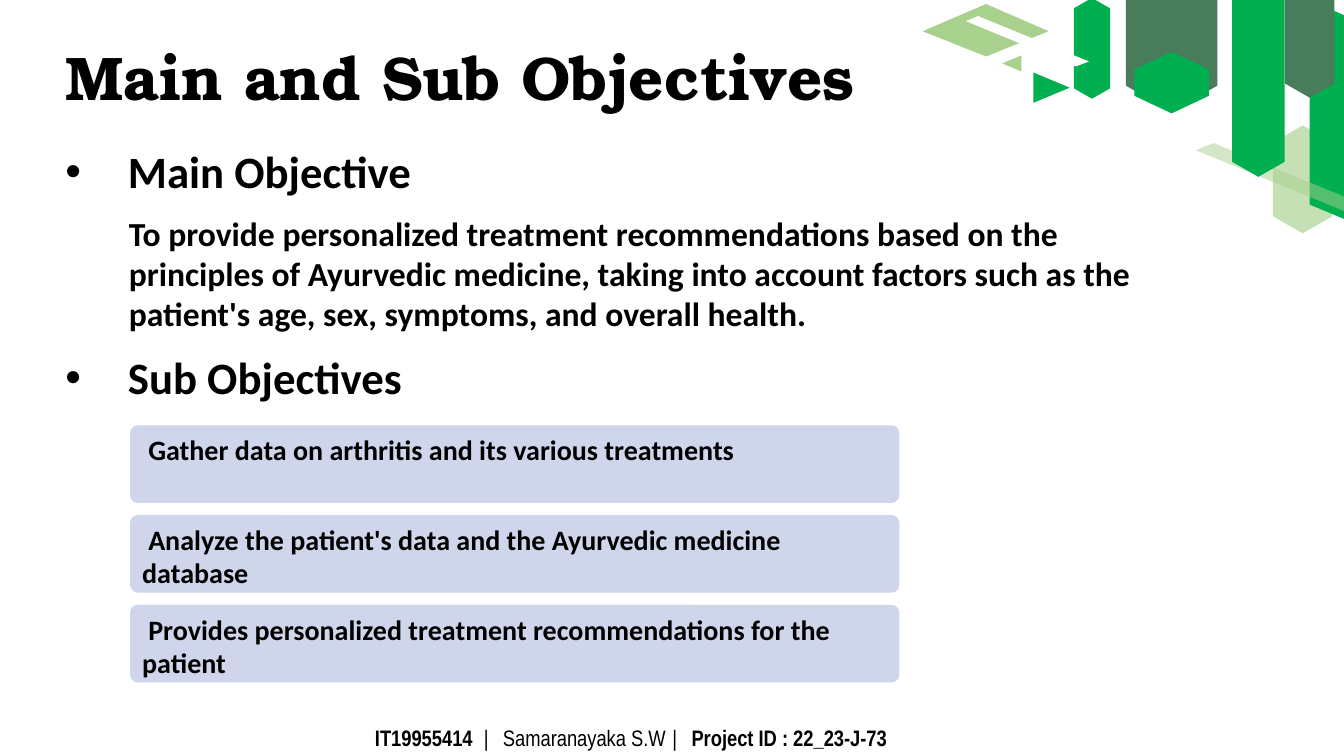
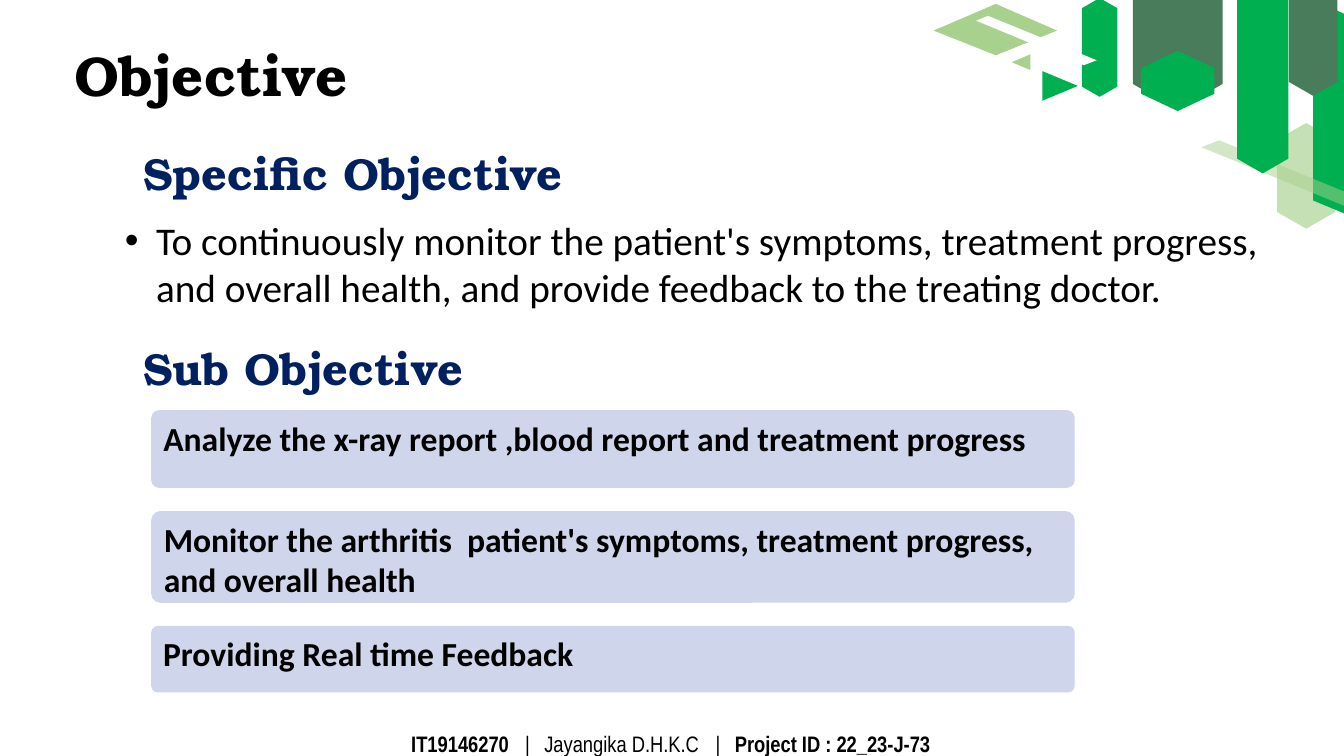
from lxml import etree
from pptx import Presentation
from pptx.dml.color import RGBColor
from pptx.enum import shapes, text
from pptx.oxml.ns import qn
from pptx.util import Emu, Inches, Pt

COLORS = {
    "ink": "000000", "navy": "002060", "pill": "CFD5EA", "white": "FFFFFF",
    "green": "00B050", "forest": "487C5A", "leaf": "A9D18E", "mint": "C5E0B4",
}
SERIF, SANS, NARROW = "TeX Gyre Bonum", "Calibri", "Arial Narrow"
PROJECT = "Project ID : 22_23-J-73"

# Corner ornament, in inches from its own top left corner
# Upright hexagons: centre x, centre y, width, height, colour
BACK_HEXAGONS = [
    (2.47, 0.41, 0.91, 1.40, "forest"),
    (3.77, 1.78, 0.59, 1.07, "mint"),
]
SLIM_HEXAGON = (1.68, 0.48, 0.36, 1.0, "green")
FRONT_HEXAGONS = [
    (3.33, 0.64, 0.52, 2.23, "green"),
    (3.84, 0.29, 0.49, 1.36, "forest"),
    (2.47, 0.82, 0.74, 0.61, "green"),
]
# Facets: colour, opacity in percent, corner points
FACETS = [
    ("leaf", 100, [(0.63, 0.04), (1.25, 0.31), (0.63, 0.56), (0, 0.31)]),
    ("green", 100, [(1.1, 0.72), (1.46, 0.87), (1.1, 1.02)]),
    ("white", 100, [(2.8, 1.65), (3.02, 1.74), (2.8, 1.83)]),
    ("leaf", 100, [(0.98, 0.55), (0.98, 0.71), (0.79, 0.63)]),
    ("green", 100, [(3.84, 0), (4.2, 0.16), (4.2, 2.18), (3.84, 2.03)]),
    ("leaf", 50, [(2.89, 1.42), (4.45, 2.06), (4.27, 2.13), (2.71, 1.49)]),
]
WHITE_BAR = ("white", 100, [(0.55, 0.16), (1.65, 0.61), (1.52, 0.66), (0.43, 0.21)])


def rgb(name):
    return RGBColor.from_string(COLORS[name])


def paint(shape, color, opacity=100):
    shape.shadow.inherit = False
    shape.fill.solid()
    shape.fill.fore_color.rgb = rgb(color)
    shape.line.fill.background()
    if opacity < 100:
        fill = shape._element.spPr.find(qn("a:solidFill"))
        etree.SubElement(fill[0], qn("a:alpha"), val=str(opacity * 1000))


def style(run, font, size, color="ink", bold=True):
    run.font.name, run.font.size, run.font.bold = font, Pt(size), bold
    run.font.color.rgb = rgb(color)


def set_indent(paragraph, margin, first):
    props = paragraph._p.get_or_add_pPr()
    props.set("marL", str(Inches(margin)))
    props.set("indent", str(Inches(first)))
    return props


def fill_frame(frame, wording, font, size, color="ink", bold=True,
               anchor=text.MSO_ANCHOR.TOP, hang=0, spacing=None):
    """Write one paragraph; hang is the hanging indent of its bullet."""
    frame.word_wrap = True
    frame.auto_size = text.MSO_AUTO_SIZE.NONE
    frame.vertical_anchor = anchor
    frame.text = wording
    paragraph = frame.paragraphs[0]
    paragraph.alignment = text.PP_ALIGN.LEFT
    if hang:
        props = set_indent(paragraph, hang, -hang)
        etree.SubElement(props, qn("a:buFont"), typeface="Arial")
        etree.SubElement(props, qn("a:buChar"), char="•")
    if spacing:
        paragraph.line_spacing = spacing
    style(paragraph.runs[0], font, size, color, bold)
    return paragraph


def place(shape, box):
    shape.left, shape.top, shape.width, shape.height = map(Inches, box)


def add_text(slide, box, wording, font, size, **options):
    label = slide.shapes.add_textbox(*map(Inches, box))
    fill_frame(label.text_frame, wording, font, size, **options)


def add_title(slide, box, wording, size, spacing=1.0):
    place(slide.shapes.title, box)
    fill_frame(slide.shapes.title.text_frame, wording, SERIF, size, spacing=spacing)


def add_ornament(slide, left, top, scale):
    def hexagon(x, y, width, height, color):
        # The preset lies on its side, so its sizes swap when turned upright
        across, down = height * scale, width * scale
        prism = slide.shapes.add_shape(
            shapes.MSO_SHAPE.HEXAGON,
            Inches(left + x * scale - across / 2),
            Inches(top + y * scale - down / 2), Inches(across), Inches(down))
        prism.rotation = 90
        prism.adjustments[0] = 0.286
        paint(prism, color)

    def facet(color, opacity, points):
        corners = [(Inches(left + x * scale), Inches(top + y * scale)) for x, y in points]
        builder = slide.shapes.build_freeform(*corners[0])
        builder.add_line_segments(corners[1:], close=True)
        paint(builder.convert_to_shape(), color, opacity)

    for prism in BACK_HEXAGONS:
        hexagon(*prism)
    for piece in FACETS:
        facet(*piece)
    hexagon(*SLIM_HEXAGON)
    facet(*WHITE_BAR)
    for prism in FRONT_HEXAGONS:
        hexagon(*prism)


def add_pills(slide, left, top, width, gap, size, items, first_indent=0):
    """Stack rounded boxes; items are pairs of height and wording."""
    for height, wording in items:
        pill = slide.shapes.add_shape(
            shapes.MSO_SHAPE.ROUNDED_RECTANGLE, *map(Inches, (left, top, width, height)))
        pill.adjustments[0] = 0.1
        paint(pill, "pill")
        goal = fill_frame(pill.text_frame, wording, SANS, size)
        set_indent(goal, 0, first_indent)
        top += height + gap


def add_footer(slide, box, student_id, student, stops):
    """Student, name and project, set apart by tab stops."""
    footer = slide.shapes.add_textbox(*map(Inches, box))
    footer.text_frame.vertical_anchor = text.MSO_ANCHOR.MIDDLE
    footer.text_frame.word_wrap = True
    line = footer.text_frame.paragraphs[0]
    tabs = etree.SubElement(line._p.get_or_add_pPr(), qn("a:tabLst"))
    for stop in stops:
        etree.SubElement(tabs, qn("a:tab"), pos=str(Inches(stop)), algn="l")
    for wording, bold in ((student_id, True), (f"\t|\t{student}\t|\t", False), (PROJECT, True)):
        run = line.add_run()
        run.text = wording
        style(run, NARROW, 16, bold=bold)


def main_objectives(slide):
    add_ornament(slide, 9.15, 0, 1)
    add_title(slide, (0.55, 0.42, 8.74, 0.65), "Main and Sub Objectives", 44, 0.9)
    # Bulleted headings
    for top, heading in ((1.35, "Main Objective"), (3.39, "Sub Objectives")):
        add_text(slide, (0.55, top, 4, 0.75), heading, SANS, 32,
                 anchor=text.MSO_ANCHOR.MIDDLE, hang=0.62, spacing=0.9)
    add_text(slide, (1.18, 2.06, 10.15, 1.31),
             "To provide personalized treatment recommendations based on the principles of "
             "Ayurvedic medicine, taking into account factors such as the patient's age, sex, "
             "symptoms, and overall health.", SANS, 24)
    goals = ["Gather data on arthritis and its various treatments",
             "Analyze the patient's data and the Ayurvedic medicine database",
             "Provides personalized treatment recommendations for the patient"]
    add_pills(slide, 1.29, 4.22, 7.63, 0.12, 20, [(0.77, goal) for goal in goals], 0.06)
    add_footer(slide, (3.62, 7.14, 7.45, 0.36), "IT19955414", "Samaranayaka S.W",
               (1.08, 1.27, 2.95, 3.14))


def specific_objective(slide):
    add_ornament(slide, 9.26, 0, 0.98)
    add_title(slide, (0.64, 0.35, 3.35, 0.77), "Objective", 40)
    # Serif headings
    for top, heading in ((1.4, "Specific Objective"), (3.33, "Sub Objective")):
        add_text(slide, (1.32, top, 4.59, 0.64), heading, SERIF, 32, color="navy")
    add_text(slide, (1.14, 2.1, 12.06, 1.04),
             "To continuously monitor the patient's symptoms, treatment progress, and overall "
             "health, and provide feedback to the treating doctor.",
             SANS, 28, bold=False, hang=0.31)
    add_pills(slide, 1.5, 4.07, 9.16, 0.23, 24, [
        (0.77, "Analyze the x-ray report ,blood report and treatment progress"),
        (0.91, "Monitor the arthritis  patient's symptoms, treatment progress, "
               "and overall health"),
        (0.66, "Providing Real time Feedback"),
    ])
    add_footer(slide, (3.98, 7.18, 7.45, 0.4), "IT19146270", "Jayangika D.H.K.C",
               (1.13, 1.32, 3.02, 3.21))


def main():
    deck = Presentation()
    deck.slide_width, deck.slide_height = Inches(13.33), Inches(7.5)
    title_only = deck.slide_layouts[5]
    for build in (main_objectives, specific_objective):
        build(deck.slides.add_slide(title_only))
    deck.save("out.pptx")


if __name__ == "__main__":
    main()
